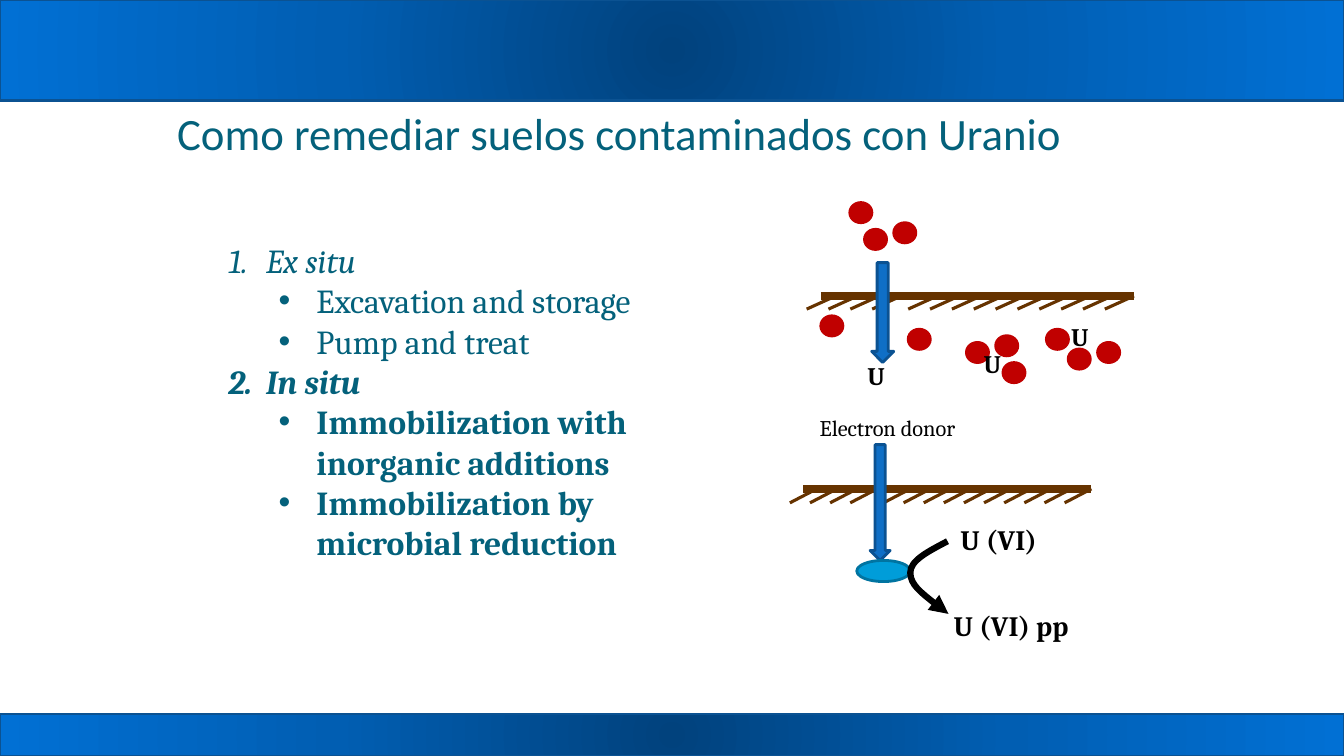
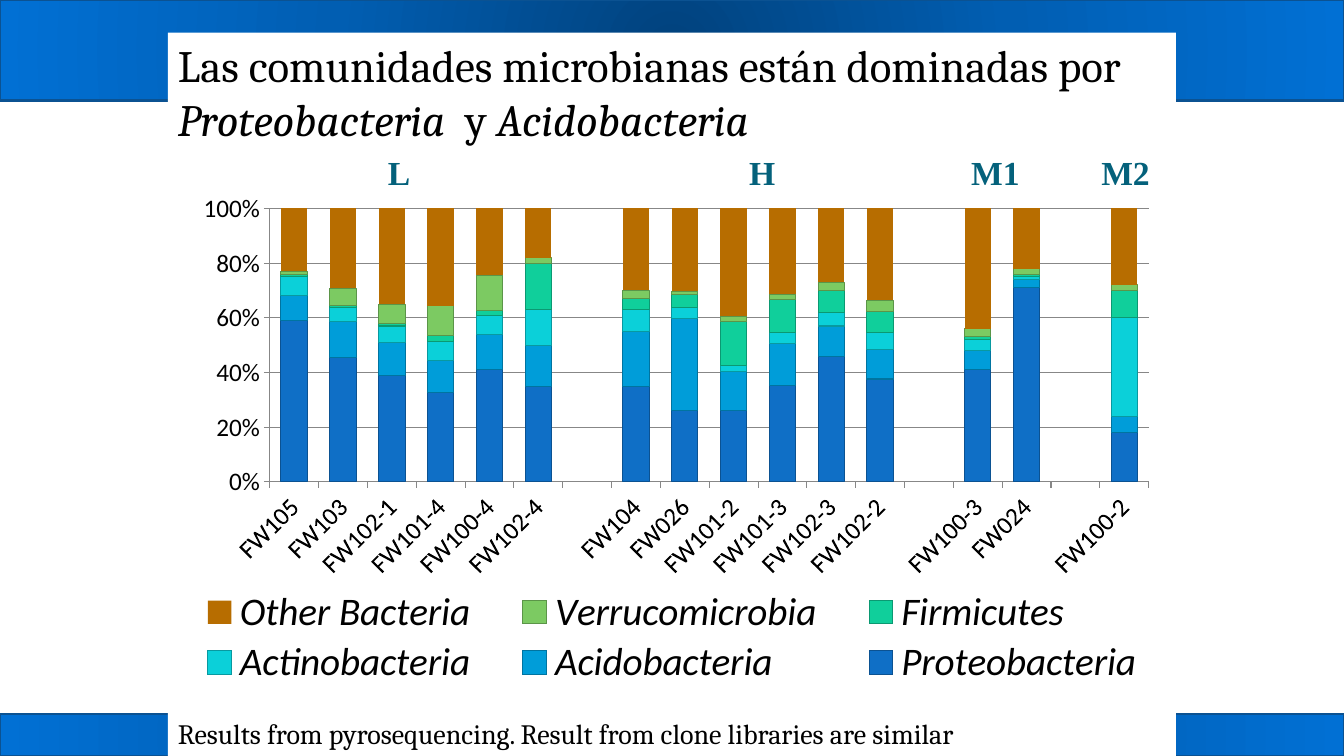
from lxml.etree import SubElement
from pptx import Presentation
from pptx.chart.data import CategoryChartData
from pptx.dml.color import RGBColor
from pptx.enum.chart import XL_CHART_TYPE, XL_LEGEND_POSITION, XL_TICK_MARK
from pptx.enum.shapes import MSO_CONNECTOR, MSO_SHAPE
from pptx.enum.text import MSO_ANCHOR, PP_ALIGN
from pptx.oxml import parse_xml
from pptx.oxml.ns import nsdecls, qn
from pptx.util import Pt

WIDTH, HEIGHT = 960, 540
WHITE = RGBColor(0xFF, 0xFF, 0xFF)
BLACK = RGBColor(0x00, 0x00, 0x00)
GREY = RGBColor(0x87, 0x87, 0x87)
TEAL = RGBColor(0x04, 0x61, 0x7B)
BLUE = RGBColor(0x0F, 0x6F, 0xC6)
NAVY = RGBColor(0x0B, 0x52, 0x92)
SKY = RGBColor(0x00, 0x9D, 0xD9)
DEEP_SKY = RGBColor(0x00, 0x74, 0xA1)
CYAN = RGBColor(0x0B, 0xD0, 0xD9)
GREEN = RGBColor(0x10, 0xCF, 0x9B)
LIME = RGBColor(0x7C, 0xCA, 0x62)
OCHRE = RGBColor(0xB7, 0x6D, 0x00)
RED = RGBColor(0xC0, 0x00, 0x00)
SOIL = RGBColor(0x66, 0x33, 0x00)
BAND_STOPS = ((0, RGBColor(0x01, 0x42, 0x7D)), (50, RGBColor(0x01, 0x5E, 0xB2)),
              (100, RGBColor(0x01, 0x70, 0xD4)))
SERIF, SANS, TIMES = "Cambria", "Calibri", "Times New Roman"

REMEDIES = [
    ("Ex situ", 0, False),
    ("Excavation and storage", 1, False),
    ("Pump and treat", 1, False),
    ("In situ", 0, True),
    ("Immobilization with inorganic additions", 1, True),
    ("Immobilization by microbial reduction", 1, True),
]
WELLS = ["FW105", "FW103", "FW102-1", "FW101-4", "FW100-4", "FW102-4", "",
         "FW104", "FW026", "FW101-2", "FW101-3", "FW102-3", "FW102-2", "",
         "FW100-3", "FW024", "", "FW100-2"]
PHYLA = [
    ("Proteobacteria", BLUE, [59, 45, 39, 33, 42, 35, None, 35, 26, 26, 35, 46, 38,
                              None, 41, 71, None, 18]),
    ("Acidobacteria", SKY, [9, 13, 12, 12, 13, 15, None, 20, 33, 14, 15, 11, 11,
                            None, 7, 3, None, 6]),
    ("Actinobacteria", CYAN, [7, 5, 6, 7, 7, 13, None, 8, 4, 2, 4, 5, 6,
                              None, 4, 1, None, 36]),
    ("Firmicutes", GREEN, [1, 1, 1, 2, 2, 17, None, 4, 5, 16, 12, 8, 8,
                           None, 1, 1, None, 10]),
    ("Verrucomicrobia", LIME, [1, 6, 7, 11, 13, 2, None, 3, 1, 2, 2, 3, 4,
                               None, 3, 2, None, 2]),
    ("Other Bacteria", OCHRE, [23, 29, 35, 36, 25, 18, None, 30, 30, 39, 31, 27, 34,
                               None, 44, 22, None, 28]),
]


def darker(color):
    return RGBColor(*(int(channel * 0.74) for channel in color))


def set_layout(parent, index, x, y, w, h, inner=False):
    """Fix the place of a chart part, in percent of the chart."""
    for old in parent.findall(qn("c:layout")):
        parent.remove(old)
    target = '<c:layoutTarget val="inner"/>' if inner else ""
    parent.insert(index, parse_xml(
        f'<c:layout {nsdecls("c")}><c:manualLayout>{target}'
        '<c:xMode val="edge"/><c:yMode val="edge"/>'
        f'<c:x val="{x / 100}"/><c:y val="{y / 100}"/>'
        f'<c:w val="{w / 100}"/><c:h val="{h / 100}"/>'
        '</c:manualLayout></c:layout>'))


class Deck:
    """Holds the shared style and the slide being drawn; lengths are points."""

    def __init__(self):
        self.prs = Presentation()
        self.prs.slide_width, self.prs.slide_height = Pt(WIDTH), Pt(HEIGHT)
        self.shapes = None

    def new_slide(self):
        self.shapes = self.prs.slides.add_slide(self.prs.slide_layouts[6]).shapes
        self.band(0, 72)
        self.band(510, 30)

    def shape(self, kind, left, top, width, height, fill, line):
        item = self.shapes.add_shape(kind, Pt(left), Pt(top), Pt(width), Pt(height))
        item.shadow.inherit = False
        item.fill.solid()
        item.fill.fore_color.rgb = fill
        item.line.color.rgb = line
        item.line.width = Pt(2)
        return item

    def band(self, top, height):
        properties = self.shape(MSO_SHAPE.RECTANGLE, 0, top, WIDTH, height,
                                BLUE, NAVY)._element.spPr
        stops = "".join(f'<a:gs pos="{pos * 1000}"><a:srgbClr val="{color}"/></a:gs>'
                        for pos, color in BAND_STOPS)
        properties.replace(properties.find(qn("a:solidFill")), parse_xml(
            f'<a:gradFill {nsdecls("a")} rotWithShape="1"><a:gsLst>{stops}</a:gsLst>'
            '<a:path path="circle"><a:fillToRect l="50000" t="50000" r="50000" '
            'b="50000"/></a:path></a:gradFill>'))

    def text(self, left, top, width, height, *runs, size, font=SERIF, color=BLACK,
             bold=False, align=PP_ALIGN.LEFT, anchor=MSO_ANCHOR.TOP, fill=None):
        """Add one paragraph; each run is a (words, italic) pair."""
        box = self.shapes.add_textbox(Pt(left), Pt(top), Pt(width), Pt(height))
        if fill is not None:
            box.fill.solid()
            box.fill.fore_color.rgb = fill
        frame = box.text_frame
        frame.word_wrap = True
        frame.vertical_anchor = anchor
        paragraph = frame.paragraphs[0]
        paragraph.alignment = align
        for words, italic in runs:
            run = paragraph.add_run()
            run.text = words
            self.style(run, size, font, color, bold, italic)
        return frame

    def style(self, run, size, font, color, bold, italic):
        run.font.size, run.font.name = Pt(size), font
        run.font.bold, run.font.italic = bold, italic
        run.font.color.rgb = color

    def outline(self, left, top, width, height, items):
        """Add numbered headings with bulleted entries below them."""
        frame = self.text(left, top, width, height, size=24)
        for position, (words, level, bold) in enumerate(items):
            paragraph = frame.add_paragraph() if position else frame.paragraphs[0]
            paragraph.text = words
            paragraph.level = level
            properties = paragraph._p.get_or_add_pPr()
            properties.set("marL", str(Pt(27 + 36 * level)))
            properties.set("indent", str(-Pt(27)))
            if level:
                SubElement(properties, qn("a:buFont"), typeface="Arial")
                SubElement(properties, qn("a:buChar"), char="•")
            else:
                SubElement(properties, qn("a:buAutoNum"), type="arabicPeriod")
            self.style(paragraph.runs[0], 24, SERIF, TEAL, bold, level == 0)

    def line(self, x1, y1, x2, y2, color, weight):
        stroke = self.shapes.add_connector(MSO_CONNECTOR.STRAIGHT,
                                           Pt(x1), Pt(y1), Pt(x2), Pt(y2))
        stroke.line.color.rgb = color
        stroke.line.width = Pt(weight)
        SubElement(stroke._element.spPr, qn("a:effectLst"))

    def ground(self, left, right, top, drop):
        """Draw a soil surface hatched below, with a gap for the well."""
        self.line(left, top, right, top, SOIL, 6)
        step = (right - left) / 14.33
        ends = [left + step * (0.68 + i) for i in range(4)]
        ends += [right - step * i for i in range(10)]
        for end in ends:
            self.line(end - step * 4 / 3, top + drop, end, top, SOIL, 2.25)

    def well(self, left, top, width, height):
        self.shape(MSO_SHAPE.DOWN_ARROW, left, top, width, height, BLUE, NAVY)

    def curved_arrow(self, start, *controls):
        """Draw a chain of cubic curves, three points to each."""
        builder = self.shapes.build_freeform(Pt(start[0]), Pt(start[1]))
        builder.add_line_segments([(Pt(x), Pt(y)) for x, y in controls], close=False)
        arrow = builder.convert_to_shape()
        arrow.shadow.inherit = False
        arrow.fill.background()
        arrow.line.color.rgb = BLACK
        arrow.line.width = Pt(4.5)
        SubElement(arrow.line._get_or_add_ln(), qn("a:tailEnd"), type="triangle")
        route = next(arrow._element.iter(qn("a:path")))
        segments = route.findall(qn("a:lnTo"))
        for first in range(0, len(segments), 3):
            curve = SubElement(route, qn("a:cubicBezTo"))
            for segment in segments[first:first + 3]:
                curve.append(segment[0])
                route.remove(segment)

    def stacked_chart(self, left, top, width, height, categories, series):
        data = CategoryChartData()
        data.categories = categories
        for name, _, values in series:
            data.add_series(name, values)
        chart = self.shapes.add_chart(XL_CHART_TYPE.COLUMN_STACKED_100, Pt(left), Pt(top),
                                      Pt(width), Pt(height), data).chart
        chart.has_title = False
        chart.font.size, chart.font.name = Pt(18), SANS
        chart.font.color.rgb = BLACK
        plot = chart.plots[0]
        plot.gap_width, plot.overlap = 85, 100
        plot.vary_by_categories = False
        for bars, (_, color, _) in zip(plot.series, series):
            bars.format.fill.solid()
            bars.format.fill.fore_color.rgb = color
            if color != OCHRE:
                bars.format.line.color.rgb = darker(color)
                bars.format.line.width = Pt(0.75)
        for axis in (chart.category_axis, chart.value_axis):
            axis.major_tick_mark = XL_TICK_MARK.OUTSIDE
            axis.format.line.color.rgb = GREY
            axis.tick_labels.font.size = Pt(18)
        labels = chart.category_axis._element.find(qn("c:txPr"))
        labels.find(qn("a:bodyPr")).set("rot", str(-45 * 60000))
        percent = chart.value_axis
        percent.has_major_gridlines = True
        percent.major_gridlines.format.line.color.rgb = GREY
        percent.tick_labels.number_format = "0%"
        percent.tick_labels.number_format_is_linked = False
        chart.has_legend = True
        legend = chart.legend
        legend.position = XL_LEGEND_POSITION.RIGHT
        legend.include_in_layout = False
        legend.font.size, legend.font.italic = Pt(28), True
        set_layout(legend._element, 1, 0, 79.2, 100, 21)
        plot_area = next(chart._chartSpace.iter(qn("c:plotArea")))
        set_layout(plot_area, 0, 10.1, 2.9, 87.2, 55.3, inner=True)


def remediation_slide(deck):
    deck.new_slide()
    title = deck.text(120, 84, 720, 30, ("Como remediar suelos contaminados con Uranio", False),
                      size=32, font=SANS, color=TEAL, anchor=MSO_ANCHOR.BOTTOM)
    title.margin_left = title.margin_right = Pt(6.5)
    title.margin_bottom = 0

    deck.ground(586.4, 810, 211.4, 9.4)
    deck.well(622.6, 187.6, 15.8, 71.3)
    for left, top in ((617.5, 163.8), (638.4, 159.1), (607, 144.7), (648.7, 235.2),
                      (586.3, 225.6), (763, 249.3), (784, 244.6), (747.4, 235.2),
                      (690.3, 244.6), (711.2, 239.8), (716.4, 259)):
        deck.shape(MSO_SHAPE.OVAL, left, top, 15.8, 14.4, RED, RED)
    for left, top in ((612.4, 253.8), (758, 225.7), (695.5, 245.5)):
        deck.text(left, top, 36.7, 28.8, ("U", False), size=18, bold=True)

    deck.ground(573.6, 779.6, 349.2, 10)
    deck.well(621.5, 317.6, 14.4, 82.8)
    deck.text(578.4, 292.3, 134, 26.6, ("Electron donor", False), size=16)
    deck.shape(MSO_SHAPE.OVAL, 612, 400.3, 38.2, 15.1, SKY, DEEP_SKY)
    deck.text(674.2, 431.3, 115.2, 31.7, ("U (VI) pp", False), size=20, bold=True)
    deck.text(679, 369.4, 81.4, 31.7, ("U (VI)", False), size=20, bold=True)
    deck.curved_arrow((676.8, 386.6), (663.1, 393.8), (650.2, 400.3), (650.2, 409),
                      (650.2, 417.6), (663.8, 428.4), (677.5, 438.5))

    deck.outline(156, 167.8, 330, 240, REMEDIES)


def communities_slide(deck):
    deck.new_slide()
    deck.text(120, 23.3, 720, 85, ("Las comunidades microbianas están dominadas por ", False),
              ("Proteobacteria ", True), (" y ", False), ("Acidobacteria", True),
              size=32, fill=WHITE)
    deck.stacked_chart(120, 138, 720, 354, WELLS, PHYLA)
    for group, left, width in (("L", 270, 24), ("H", 528, 24), ("M1", 678, 66),
                               ("M2", 768, 72)):
        deck.text(left, 114, width, 18, (group, False), size=24, font=TIMES, color=TEAL,
                  bold=True, align=PP_ALIGN.CENTER, anchor=MSO_ANCHOR.MIDDLE)
    deck.text(120, 508.5, 720, 31.5,
              ("Results from pyrosequencing. Result from clone libraries are similar", False),
              size=20, fill=WHITE)


def main():
    deck = Deck()
    remediation_slide(deck)
    communities_slide(deck)
    deck.prs.save("out.pptx")


if __name__ == "__main__":
    main()
